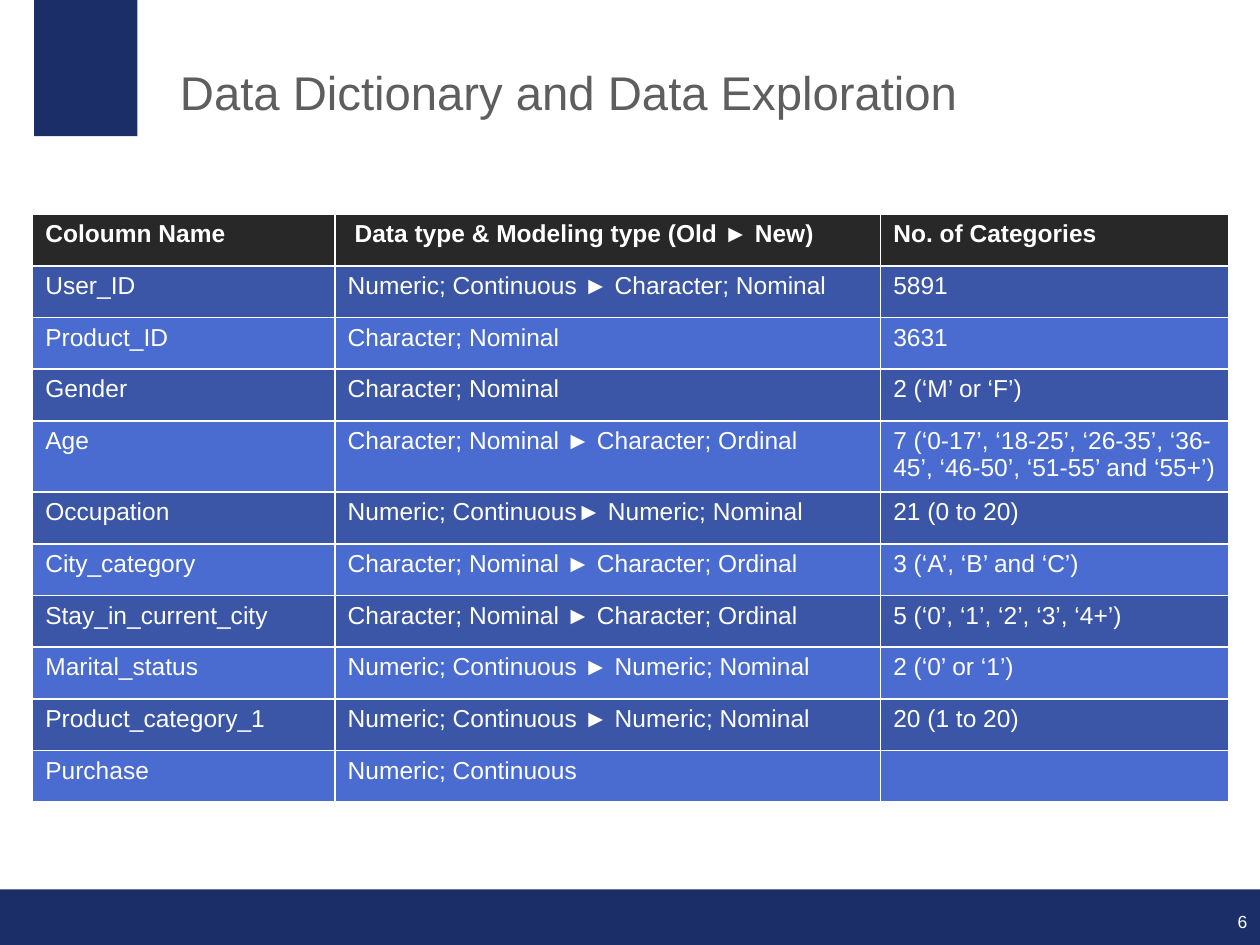
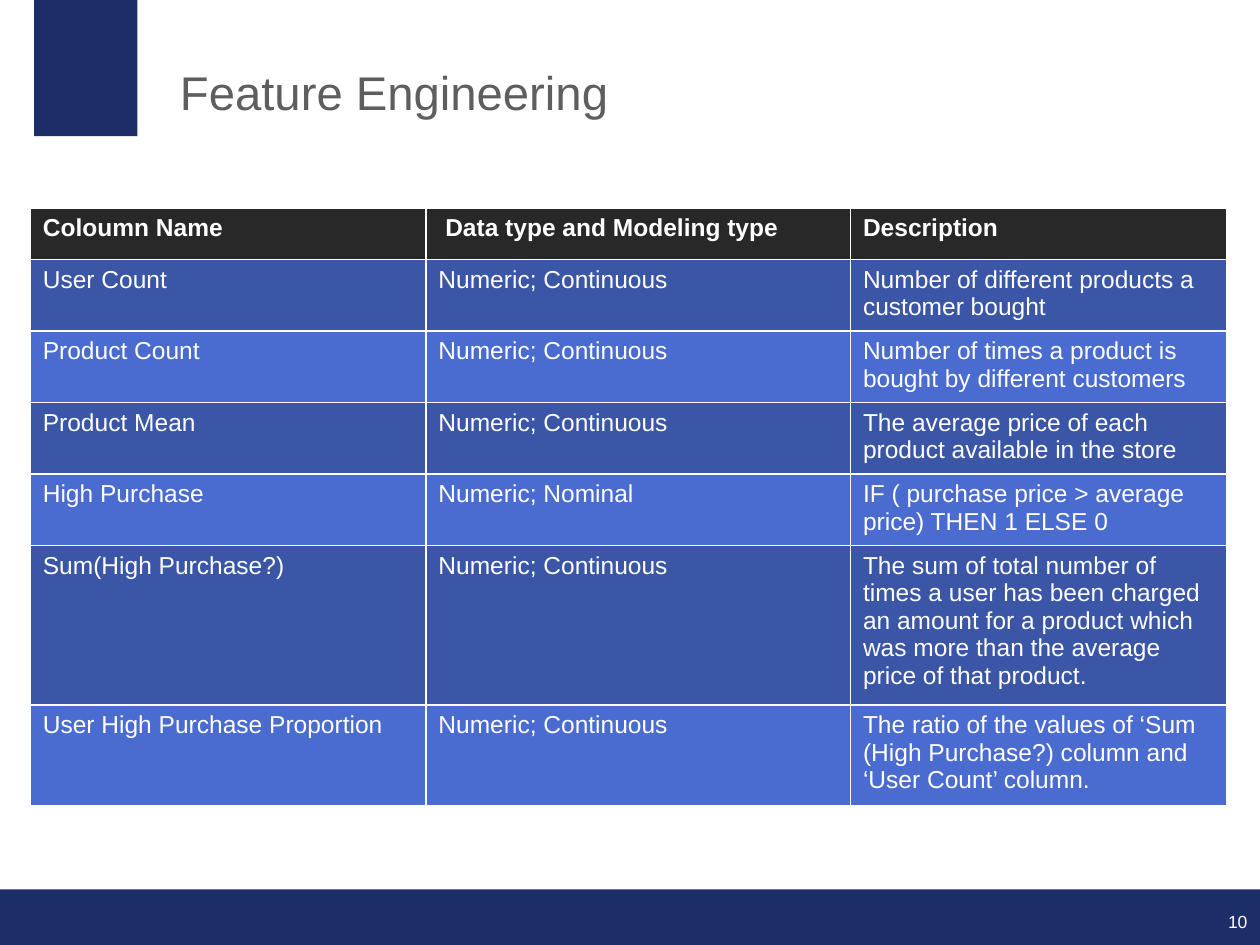
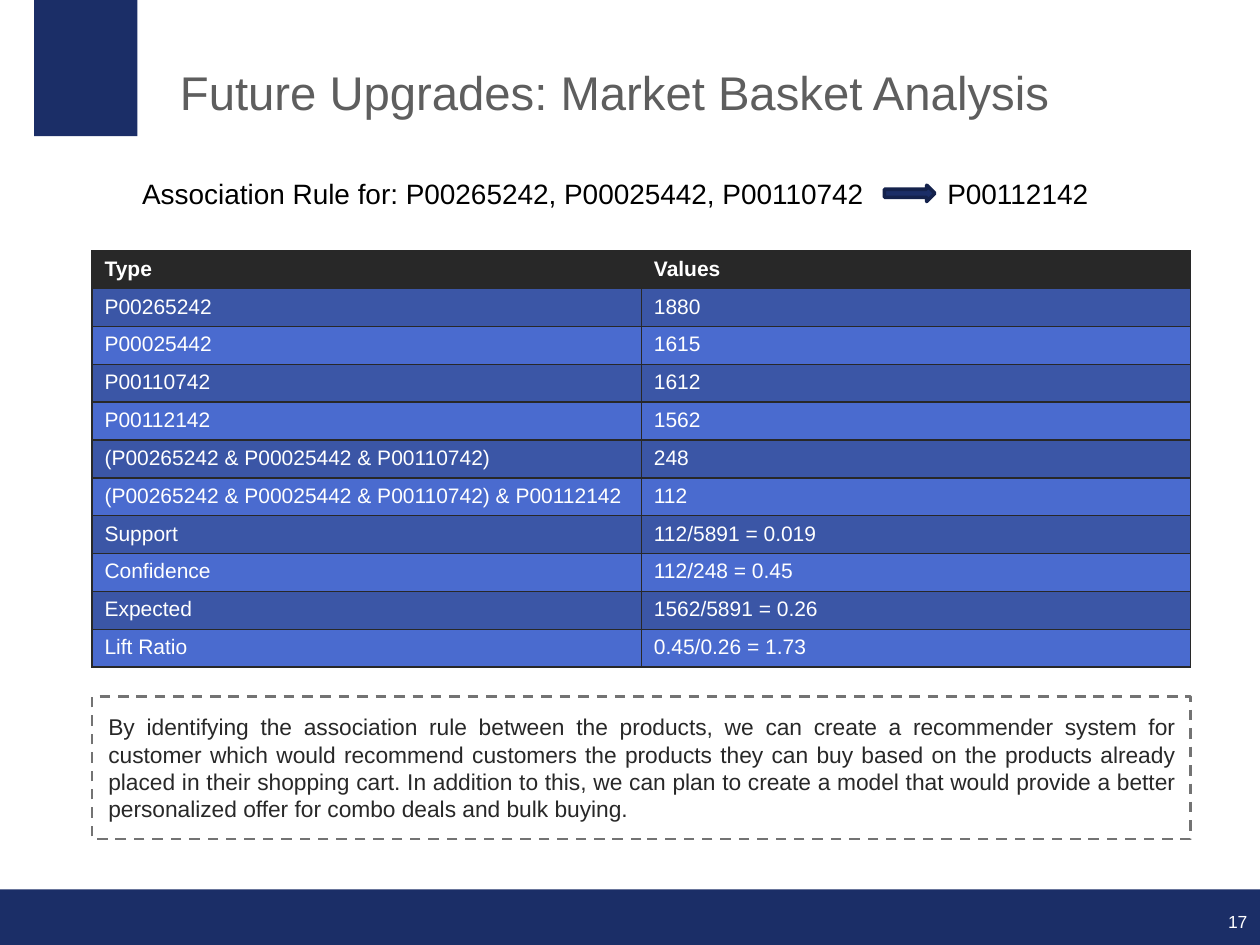
import pptx
import pptx.dml.color
import pptx.enum.dml
import pptx.enum.shapes
import pptx.enum.text
import pptx.oxml.ns
import pptx.util
from lxml import etree

Inches = pptx.util.Inches
Pt = pptx.util.Pt
Align = pptx.enum.text.PP_ALIGN
Anchor = pptx.enum.text.MSO_ANCHOR
Shape = pptx.enum.shapes.MSO_SHAPE
qn = pptx.oxml.ns.qn

COLORS = {
    "navy": "1B2E67",
    "navy_line": "14224C",
    "title": "5E5E5E",
    "dark": "282828",
    "row_odd": "3B56A6",
    "row_even": "4A6BCF",
    "dash": "737373",
    "white": "FFFFFF",
    "black": "000000",
}
FONT = "Arial"


def rgb(name):
    return pptx.dml.color.RGBColor.from_string(COLORS[name])


class Deck:
    """Holds the style and the current slide."""

    def __init__(self):
        self.prs = pptx.Presentation()
        self.prs.slide_width = Inches(10)
        self.prs.slide_height = Inches(7.5)
        self.s = None

    def slide(self, title, number):
        self.s = self.prs.slides.add_slide(self.prs.slide_layouts[6])
        # Bottom band and corner block
        self.shape(Shape.RECTANGLE, 0, 7.06, 10, 0.44, fill="navy")
        self.shape(Shape.RECTANGLE, 0.27, 0, 0.82, 1.08, fill="navy")
        # Page number and title
        sp = self.text(str(number), 9.5, 7.15, 0.4, 0.25, 10, "white",
                       inset=(0, 0), anchor=Anchor.BOTTOM, align=Align.RIGHT)
        sp.text_frame.paragraphs[0].line_spacing = 0.9
        sp = self.text(title, 1.33, 0, 8.12, 1.06, 27, "title",
                       inset=(0.1, 0.1), anchor=Anchor.BOTTOM)
        sp.text_frame.paragraphs[0].line_spacing = 0.9

    def shape(self, kind, x, y, w, h, fill=None, line=None, weight=1):
        sp = self.s.shapes.add_shape(kind, Inches(x), Inches(y), Inches(w), Inches(h))
        sp.shadow.inherit = False
        if fill:
            sp.fill.solid()
            sp.fill.fore_color.rgb = rgb(fill)
        else:
            sp.fill.background()
        if line:
            sp.line.color.rgb = rgb(line)
            sp.line.width = Pt(weight)
        else:
            sp.line.fill.background()
        return sp

    def text(self, text, x, y, w, h, size, color, **layout):
        sp = self.s.shapes.add_textbox(Inches(x), Inches(y), Inches(w), Inches(h))
        self.set_text(sp.text_frame, text, size, color, **layout)
        return sp

    def set_text(self, tf, text, size, color, inset=(0.1, 0.05),
                 anchor=Anchor.TOP, align=Align.LEFT):
        tf.word_wrap = True
        tf.vertical_anchor = anchor
        tf.margin_left = tf.margin_right = Inches(inset[0])
        tf.margin_top = tf.margin_bottom = Inches(inset[1])
        tf.text = text
        tf.paragraphs[0].alignment = align
        self.style(tf.paragraphs[0], size, color)

    def style(self, p, size, color, bold=False):
        for r in p.runs:
            r.font.name = FONT
            r.font.size = Pt(size)
            r.font.bold = bold
            r.font.color.rgb = rgb(color)

    def tab_stop(self, p, pos):
        tabs = etree.SubElement(p._p.get_or_add_pPr(), qn("a:tabLst"))
        etree.SubElement(tabs, qn("a:tab"), pos=str(Inches(pos)), algn="l")

    def table(self, rows, x, y, widths, row_height, size, border):
        frame = self.s.shapes.add_table(
            len(rows), len(widths), Inches(x), Inches(y),
            Inches(sum(widths)), Inches(row_height * len(rows)))
        table = frame.table
        for col, width in zip(table.columns, widths):
            col.width = Inches(width)
        for i, row in enumerate(rows):
            table.rows[i].height = Inches(row_height)
            fill = "dark" if i == 0 else "row_odd" if i % 2 else "row_even"
            for j, value in enumerate(row):
                cell = table.cell(i, j)
                cell.text = value
                self.style(cell.text_frame.paragraphs[0], size, "white", bold=i == 0)
                cell.fill.solid()
                cell.fill.fore_color.rgb = rgb(fill)
                self.borders(cell, border)

    def borders(self, cell, color):
        tcPr = cell._tc.get_or_add_tcPr()
        for i, side in enumerate(("lnL", "lnR", "lnT", "lnB")):
            ln = etree.Element(qn("a:" + side), w=str(Pt(1)))
            fill = etree.SubElement(ln, qn("a:solidFill"))
            etree.SubElement(fill, qn("a:srgbClr"), val=COLORS[color])
            tcPr.insert(i, ln)


DICTIONARY = [
    ("Coloumn Name", " Data type & Modeling type (Old ► New)", "No. of Categories"),
    ("User_ID", "Numeric; Continuous ► Character; Nominal", "5891"),
    ("Product_ID", "Character; Nominal", "3631"),
    ("Gender", "Character; Nominal", "2 (‘M’ or ‘F’)"),
    ("Age", "Character; Nominal ► Character; Ordinal",
     "7 (‘0-17’, ‘18-25’, ‘26-35’, ‘36-45’, ‘46-50’, ‘51-55’ and ‘55+’)"),
    ("Occupation", "Numeric; Continuous► Numeric; Nominal", "21 (0 to 20)"),
    ("City_category", "Character; Nominal ► Character; Ordinal", "3 (‘A’, ‘B’ and ‘C’)"),
    ("Stay_in_current_city", "Character; Nominal ► Character; Ordinal",
     "5 (‘0’, ‘1’, ‘2’, ‘3’, ‘4+’)"),
    ("Marital_status", "Numeric; Continuous ► Numeric; Nominal", "2 (‘0’ or ‘1’)"),
    ("Product_category_1", "Numeric; Continuous ► Numeric; Nominal", "20 (1 to 20)"),
    ("Purchase", "Numeric; Continuous", ""),
]

FEATURES = [
    ("Coloumn Name", " Data type and Modeling type", "Description"),
    ("User Count", "Numeric; Continuous",
     "Number of different products a customer bought"),
    ("Product Count", "Numeric; Continuous",
     "Number of times a product is bought by different customers"),
    ("Product Mean", "Numeric; Continuous",
     "The average price of each product available in the store"),
    ("High Purchase", "Numeric; Nominal",
     "IF ( purchase price > average price) THEN 1 ELSE 0"),
    ("Sum(High Purchase?)", "Numeric; Continuous",
     "The sum of total number of times a user has been charged an amount for a "
     "product which was more than the average price of that product."),
    ("User High Purchase Proportion", "Numeric; Continuous",
     "The ratio of the values of ‘Sum (High Purchase?) column and ‘User Count’ column."),
]

BASKET = [
    ("Type", "Values"),
    ("P00265242", "1880"),
    ("P00025442", "1615"),
    ("P00110742", "1612"),
    ("P00112142", "1562"),
    ("(P00265242 & P00025442 & P00110742)", "248"),
    ("(P00265242 & P00025442 & P00110742) & P00112142", "112"),
    ("Support", "112/5891 = 0.019"),
    ("Confidence", "112/248 = 0.45"),
    ("Expected", "1562/5891 = 0.26"),
    ("Lift Ratio", "0.45/0.26 = 1.73"),
]

CONCLUSION = (
    "By identifying the association rule between the products, we can create a "
    "recommender system for customer which would recommend customers the products "
    "they can buy based on the products already placed in their shopping cart. In "
    "addition to this, we can plan to create a model that would provide a better "
    "personalized offer for combo deals and bulk buying."
)


def main():
    deck = Deck()

    # Data dictionary
    deck.slide("Data Dictionary and Data Exploration", 6)
    deck.table(DICTIONARY, 0.26, 1.7, (2.4, 4.33, 2.76), 0.41, 14, "white")

    # Feature engineering
    deck.slide("Feature Engineering", 10)
    deck.table(FEATURES, 0.24, 1.65, (3.14, 3.37, 2.99), 0.41, 14, "white")

    # Market basket analysis
    deck.slide("Future Upgrades: Market Basket Analysis", 17)
    deck.table(BASKET, 0.73, 1.99, (4.36, 4.36), 0.27, 12, "dark")

    # Association rule, with the arrow in the tab gap
    rule = deck.text("Association Rule for: P00265242, P00025442, P00110742\tP00112142",
                     1.03, 1.35, 8.72, 0.37, 16, "black")
    deck.tab_stop(rule.text_frame.paragraphs[0], 6.39)
    deck.shape(Shape.RIGHT_ARROW, 7.02, 1.47, 0.4, 0.13, "navy", "navy_line", 2)

    # Conclusion box
    box = deck.shape(Shape.RECTANGLE, 0.73, 5.53, 8.72, 1.13, line="dash", weight=1.5)
    box.line.dash_style = pptx.enum.dml.MSO_LINE.DASH
    deck.set_text(box.text_frame, CONCLUSION, 13, "dark", inset=(0.13, 0.13),
                  align=Align.JUSTIFY)
    box.text_frame.paragraphs[0].space_before = Pt(1.3)

    deck.prs.save("out.pptx")


if __name__ == "__main__":
    main()
